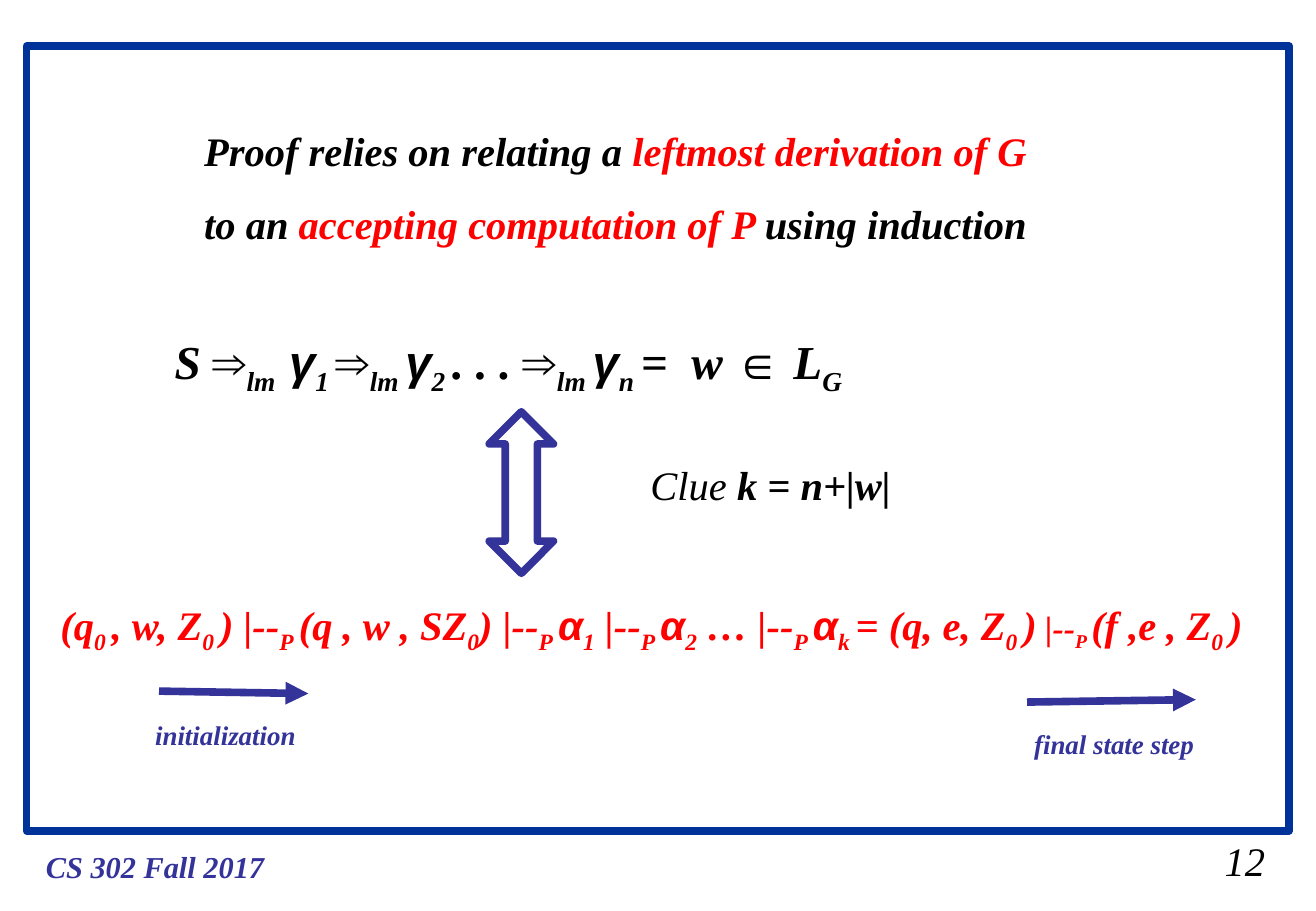
from dataclasses import dataclass
from typing import NamedTuple

from lxml.etree import SubElement
from pptx import Presentation
from pptx.dml.color import RGBColor
from pptx.enum.shapes import MSO_CONNECTOR, MSO_SHAPE
from pptx.enum.text import MSO_ANCHOR, MSO_AUTO_SIZE, PP_ALIGN
from pptx.oxml.ns import qn
from pptx.util import Inches, Pt

BLACK = RGBColor(0x00, 0x00, 0x00)
RED = RGBColor(0xFF, 0x00, 0x00)
NAVY = RGBColor(0x00, 0x33, 0x99)
INDIGO = RGBColor(0x33, 0x33, 0x99)
SERIF = "Times New Roman"
SANS = "Arial"
SYMBOLS = "⇒∈γα"
STROKE = Pt(4.5)


class Box(NamedTuple):
    left: float
    top: float
    width: float
    height: float


@dataclass(frozen=True)
class Bit:
    text: str
    color: RGBColor = BLACK
    size: float = 24
    bold: bool = True
    low: bool = False


@dataclass(frozen=True)
class Note:
    box: Box
    bits: list[Bit]


@dataclass(frozen=True)
class Step:
    start: tuple[float, float]
    end: tuple[float, float]
    box: Box
    label: str


def write(para, text: str, *, color: RGBColor, size: float, bold: bool, low: bool) -> None:
    """Add one italic run to a paragraph."""
    run = para.add_run()
    run.text = text
    font = run.font
    font.name = SANS if text in SYMBOLS else SERIF
    font.size = Pt(size)
    font.bold = bold
    font.italic = True
    font.color.rgb = color
    if low:
        run._r.get_or_add_rPr().set("baseline", "-25000")


def fill(para, bits: list[Bit]) -> None:
    """Write a list of bits into a paragraph."""
    for bit in bits:
        write(para, bit.text, color=bit.color, size=bit.size, bold=bit.bold, low=bit.low)


def chain(parts: list[str], color: RGBColor, size: float) -> list[Bit]:
    """Turn parts into bits, lowering those marked with an underscore."""
    return [Bit(part.removeprefix("_"), color, size, low=part.startswith("_"))
            for part in parts]


def add_note(slide, note: Note) -> None:
    """Draw a one-line text box."""
    frame = slide.shapes.add_textbox(*map(Inches, note.box)).text_frame
    frame.word_wrap = False
    frame.auto_size = MSO_AUTO_SIZE.SHAPE_TO_FIT_TEXT
    fill(frame.paragraphs[0], note.bits)


def add_shape(slide, kind: MSO_SHAPE, box: Box, color: RGBColor):
    """Draw a hollow shape with a thick outline."""
    shape = slide.shapes.add_shape(kind, *map(Inches, box))
    shape.shadow.inherit = False
    shape.fill.background()
    shape.line.color.rgb = color
    shape.line.width = STROKE
    return shape


def add_step(slide, step: Step) -> None:
    """Draw an arrow with its label."""
    ends = map(Inches, step.start + step.end)
    arrow = slide.shapes.add_connector(MSO_CONNECTOR.STRAIGHT, *ends)
    arrow.line.color.rgb = INDIGO
    arrow.line.width = STROKE
    SubElement(arrow.line._get_or_add_ln(), qn("a:tailEnd"), type="triangle")
    SubElement(arrow._element.spPr, qn("a:effectLst"))
    add_note(slide, Note(step.box, [Bit(step.label, INDIGO, 16)]))


def set_title(slide, box: Box, lines: list[list[Bit]]) -> None:
    """Place and fill the title."""
    title = slide.shapes.title
    title.left, title.top, title.width, title.height = map(Inches, box)
    frame = title.text_frame
    frame.word_wrap = False
    frame.auto_size = MSO_AUTO_SIZE.NONE
    frame.vertical_anchor = MSO_ANCHOR.TOP
    for i, bits in enumerate(lines):
        para = frame.add_paragraph() if i else frame.paragraphs[0]
        para.alignment = PP_ALIGN.CENTER
        para.line_spacing = 1.5
        fill(para, bits)


CLAIM = [
    [Bit("Proof relies on relating a "), Bit("leftmost derivation of G ", RED)],
    [Bit("to an "), Bit("accepting computation of P ", RED), Bit("using induction")],
]
DERIVE = chain(
    ["S ", "⇒", "_lm  ", "γ", "_1 ", "⇒", "_lm ", "γ", "_2 ", ". . . ",
     "⇒", "_lm ", "γ", "_n ", "=  w ", "∈", " L", "_G"], BLACK, 28)
COMPUTE = (
    chain(["(q", "_0 ", ", w, Z", "_0 ", ") |--", "_P ", "(q , w , SZ", "_0",
           ") |--", "_P ", "α", "_1", " |--", "_P ", "α", "_2", " … |--", "_P ",
           "α", "_k ", "= (q, e, Z", "_0 ", ")"], RED, 24)
    + chain([" |--", "_P "], RED, 20)
    + chain(["(f ,e , Z", "_0 ", ")"], RED, 24))
NOTES = [
    Note(Box(0.28, 6.93, 2, 0.4), [Bit("CS 302 Fall 2017", INDIGO, 18)]),
    Note(Box(1.34, 2.69, 5.82, 0.63), DERIVE),
    Note(Box(0.4, 4.89, 10.06, 0.56), COMPUTE),
    Note(Box(5.26, 3.74, 2.18, 0.5), [Bit("Clue ", bold=False), Bit("k = n+|w|")]),
    Note(Box(9.99, 6.83, 0.53, 0.5), [Bit("12", bold=False)]),
]
STEPS = [
    Step((1.31, 5.69), (2.54, 5.71), Box(1.18, 5.87, 1.36, 0.37), "initialization"),
    Step((8.46, 5.78), (9.85, 5.76), Box(8.42, 5.94, 1.52, 0.37), "final state step"),
]


def main() -> None:
    """Build the slide and save it."""
    deck = Presentation()
    deck.slide_width, deck.slide_height = Inches(10.84), Inches(7.5)
    slide = deck.slides.add_slide(deck.slide_layouts[5])
    add_shape(slide, MSO_SHAPE.RECTANGLE, Box(0.22, 0.38, 10.4, 6.46), NAVY)
    set_title(slide, Box(1.54, 0.79, 7.06, 1.3), CLAIM)
    arrow = add_shape(slide, MSO_SHAPE.UP_DOWN_ARROW, Box(4.03, 3.39, 0.53, 1.33), INDIGO)
    arrow.adjustments[0] = arrow.adjustments[1] = 0.5
    for note in NOTES:
        add_note(slide, note)
    for step in STEPS:
        add_step(slide, step)
    deck.save("out.pptx")


if __name__ == "__main__":
    main()
